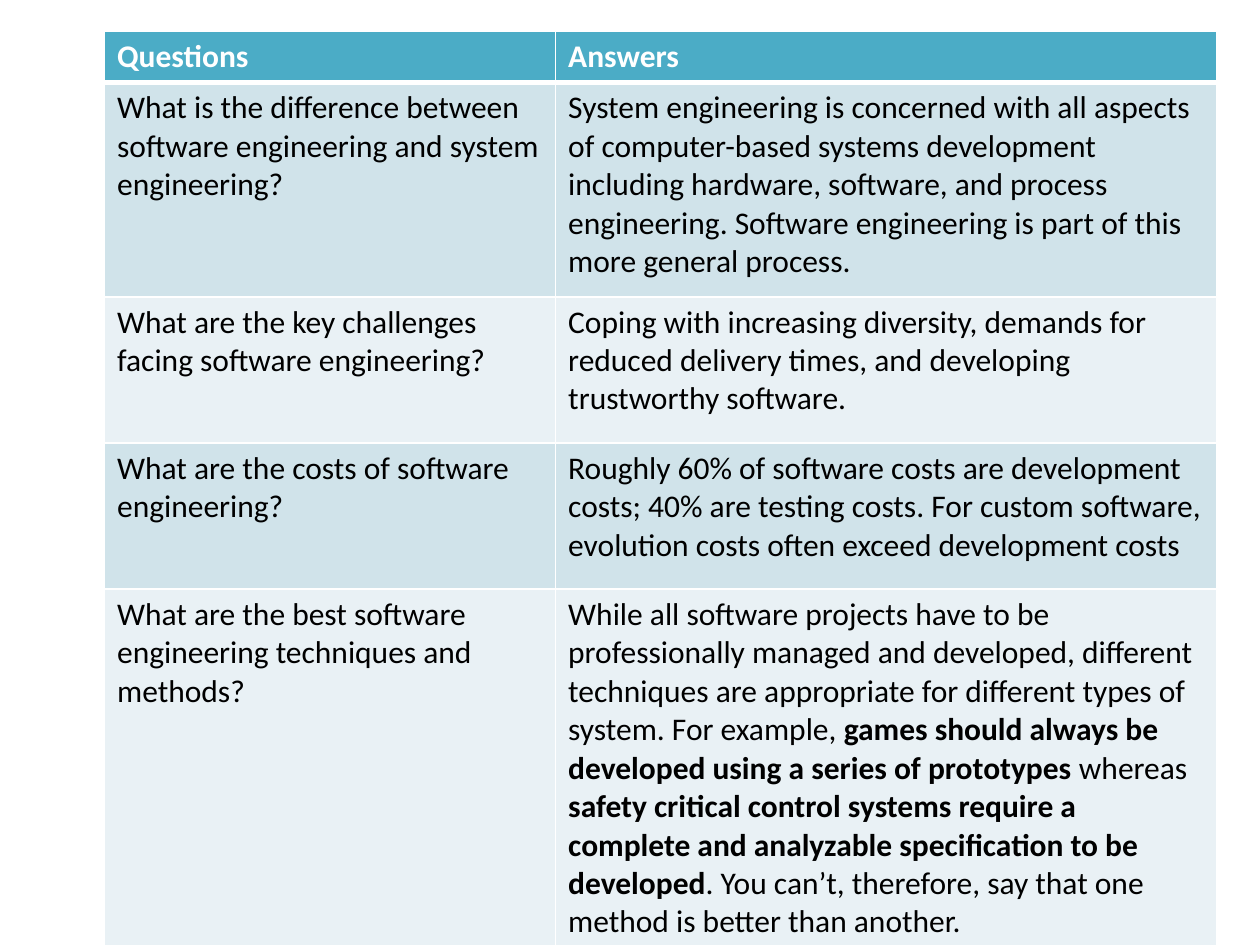
import pptx
import pptx.dml.color
import pptx.oxml
import pptx.oxml.ns
import pptx.util

Inches = pptx.util.Inches
Pt = pptx.util.Pt
RGB = pptx.dml.color.RGBColor

WHITE = RGB(0xFF, 0xFF, 0xFF)
BLACK = RGB(0x00, 0x00, 0x00)
TEAL = RGB(0x4B, 0xAC, 0xC6)
BANDS = (RGB(0xD0, 0xE3, 0xEA), RGB(0xE9, 0xF1, 0xF5))

HEADS = ("Questions", "Answers")

# An answer is a list of parts; every second part is bold
FAQ = [
    ("What is the difference between software engineering and system engineering?",
     ["System engineering is concerned with all aspects of computer-based systems "
      "development including hardware, software, and process engineering. Software "
      "engineering is part of this more general process."]),
    ("What are the key challenges facing software engineering?",
     ["Coping with increasing diversity, demands for reduced delivery times, "
      "and developing trustworthy software."]),
    ("What are the costs of software engineering?",
     ["Roughly 60% of software costs are development costs; 40% are testing costs. "
      "For custom software, evolution costs often exceed development costs"]),
    ("What are the best software engineering techniques and methods?",
     ["While all software projects have to be professionally managed and developed, "
      "different techniques are appropriate for different types of system. For example, ",
      "games should always be developed using a series of prototypes",
      " whereas ",
      "safety critical control systems require a complete and analyzable "
      "specification to be developed",
      ". You can’t, therefore, say that one method is better than another."]),
]


class Deck:
    font = "Calibri"
    size = Pt(18)

    def __init__(self, wide, high):
        self.prs = pptx.Presentation()
        self.prs.slide_width = Inches(wide)
        self.prs.slide_height = Inches(high)
        self.slide = self.prs.slides.add_slide(self.prs.slide_layouts[6])

    def table(self, left, top, cols, rows):
        frame = self.slide.shapes.add_table(
            len(rows), len(cols), Inches(left), Inches(top),
            Inches(sum(cols)), Inches(sum(rows)))
        grid = frame.table
        for col, wide in zip(grid.columns, cols):
            col.width = Inches(wide)
        for row, high in zip(grid.rows, rows):
            row.height = Inches(high)
        return grid

    def cell(self, cell, parts, fill, color=BLACK, bold=False, edges=None):
        para = cell.text_frame.paragraphs[0]
        for i, part in enumerate(parts):
            run = para.add_run()
            run.text = part
            run.font.name = self.font
            run.font.size = self.size
            run.font.bold = bold or i % 2 == 1
            run.font.color.rgb = color
        self.border(cell, edges or {})
        cell.fill.solid()
        cell.fill.fore_color.rgb = fill

    def border(self, cell, edges):
        props = cell._tc.get_or_add_tcPr()
        for side in "LRTB":
            width = Pt(edges.get(side, 1))
            props.append(pptx.oxml.parse_xml(
                f'<a:ln{side} {pptx.oxml.ns.nsdecls("a")} w="{width}"><a:solidFill>'
                f'<a:srgbClr val="{WHITE}"/></a:solidFill></a:ln{side}>'))


def main():
    deck = Deck(10, 7.5)
    grid = deck.table(0.83, 0.25, [3.58, 5.25], [0.39, 1.7, 1.16, 1.16, 2.82])

    # Header row, with a thick rule below it
    for col, head in enumerate(HEADS):
        deck.cell(grid.cell(0, col), [head], TEAL, WHITE, True, {"B": 3})

    # Questions and answers in alternating bands
    for row, (ask, reply) in enumerate(FAQ, 1):
        fill = BANDS[(row - 1) % 2]
        edges = {"T": 3} if row == 1 else {}
        deck.cell(grid.cell(row, 0), [ask], fill, edges=edges)
        deck.cell(grid.cell(row, 1), reply, fill, edges=edges)

    deck.prs.save("out.pptx")


if __name__ == "__main__":
    main()
